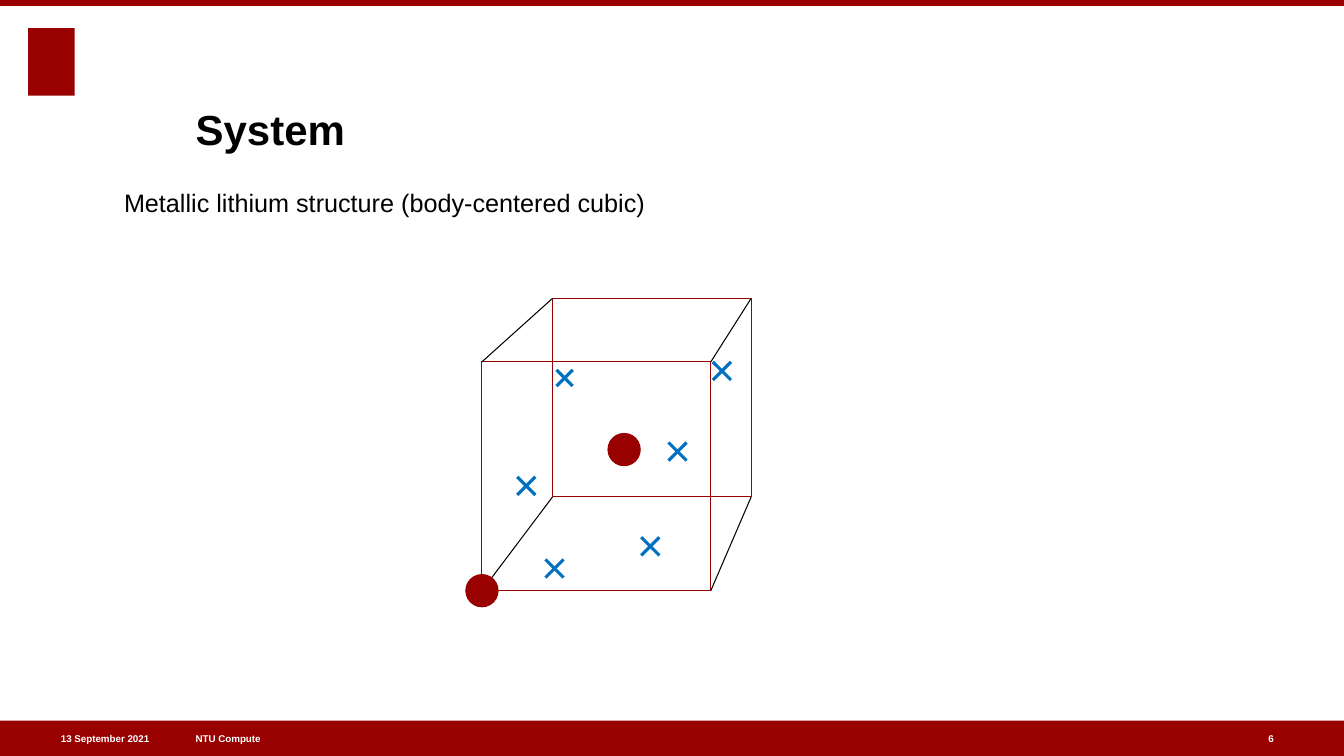
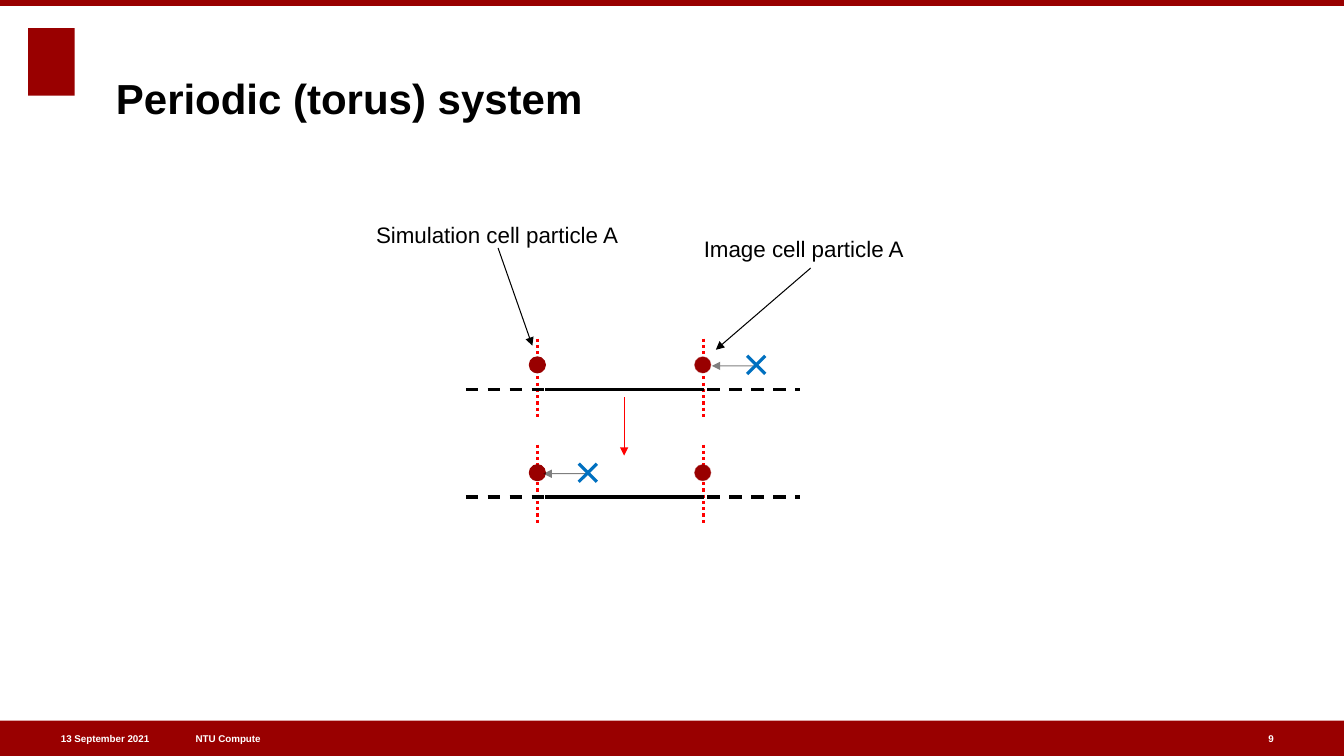
from pptx import Presentation
from pptx.dml.color import RGBColor
from pptx.enum.dml import MSO_LINE
from pptx.enum.shapes import MSO_CONNECTOR, MSO_SHAPE
from pptx.enum.text import MSO_ANCHOR, MSO_AUTO_SIZE, PP_ALIGN
from pptx.oxml.ns import qn
from pptx.util import Inches, Pt
from lxml.etree import SubElement

# Shared style
FONT = "Arial"
RED, BRIGHT_RED, BLUE = "990000", "FF0000", "0070C0"
BLACK, WHITE = "000000", "FFFFFF"
THIN, THICK = 0.75, 2.25
WIDTH, HEIGHT = 13.33, 7.5
FOOTER_TOP, FOOTER_H = 7.15, 0.35
TITLE_ONLY, TITLE_AND_BODY = 5, 1


def rgb(color):
    return RGBColor.from_string(color)


def box(left, top, width, height):
    return [Inches(v) for v in (left, top, width, height)]


# Text
def write(shape, text, size, color=BLACK, bold=False,
          anchor=MSO_ANCHOR.TOP, align=PP_ALIGN.LEFT, wrap=True):
    tf = shape.text_frame
    tf.text = text
    tf.auto_size = MSO_AUTO_SIZE.NONE
    tf.word_wrap = wrap
    tf.vertical_anchor = anchor
    tf.margin_left = tf.margin_right = tf.margin_top = tf.margin_bottom = 0
    p = tf.paragraphs[0]
    p.alignment = align
    font = p.runs[0].font
    font.name, font.size, font.bold = FONT, Pt(size), bold
    font.color.rgb = rgb(color)
    return p


def add_label(s, text, left, top, width, height, size, **style):
    write(s.shapes.add_textbox(*box(left, top, width, height)), text, size, **style)


def set_title(s, text, left, top):
    title = s.shapes.title
    title.left, title.top, title.width, title.height = box(left, top, 10.18, 1.06)
    write(title, text, 30, bold=True, anchor=MSO_ANCHOR.BOTTOM)


def set_body(s, text, left, top):
    body = s.placeholders[1]
    body.left, body.top, body.width, body.height = box(left, top, 10.18, 4.97)
    pPr = write(body, text, 18)._p.get_or_add_pPr()
    pPr.set("marL", "0")
    pPr.set("indent", "0")
    SubElement(pPr, qn("a:buNone"))


# Shapes and lines
def style_line(line, color, width, opacity=100):
    line.color.rgb = rgb(color)
    line.width = Pt(width)
    if opacity < 100:
        clr = line._get_or_add_ln().find(".//" + qn("a:srgbClr"))
        SubElement(clr, qn("a:alpha")).set("val", str(opacity * 1000))


def add_shape(s, kind, left, top, width, height, fill=None, line=None, opacity=100):
    sp = s.shapes.add_shape(kind, *box(left, top, width, height))
    sp.shadow.inherit = False
    if fill:
        sp.fill.solid()
        sp.fill.fore_color.rgb = rgb(fill)
    else:
        sp.fill.background()
    if line:
        style_line(sp.line, line, THIN, opacity)
    else:
        sp.line.fill.background()


def add_line(parent, start, end, color=BLACK, width=THIN, dash=None,
             arrow=False, opacity=100):
    cn = parent.shapes.add_connector(
        MSO_CONNECTOR.STRAIGHT, *[Inches(v) for v in (*start, *end)])
    style_line(cn.line, color, width, opacity)
    if dash:
        cn.line.dash_style = dash
    if arrow:
        SubElement(cn.line._get_or_add_ln(), qn("a:tailEnd")).set("type", "triangle")
    SubElement(cn._element.spPr, qn("a:effectLst"))


def add_particle(s, x, y, size, opacity=100):
    add_shape(s, MSO_SHAPE.OVAL, x - size / 2, y - size / 2, size, size,
              RED, RED, opacity)


def add_cross(s, x, y, size=0.18):
    group = s.shapes.add_group_shape()
    h = size / 2
    for slope in (1, -1):
        add_line(group, (x - h, y - h * slope), (x + h, y + h * slope), BLUE, THICK)


# Frame shared by all slides
def add_slide(prs, layout, number):
    s = prs.slides.add_slide(prs.slide_layouts[layout])
    add_shape(s, MSO_SHAPE.RECTANGLE, 0.28, 0.28, 0.46, 0.67, RED)
    add_shape(s, MSO_SHAPE.RECTANGLE, 0, 0, WIDTH, 0.06, RED)
    add_shape(s, MSO_SHAPE.RECTANGLE, 0, FOOTER_TOP, WIDTH, FOOTER_H, RED)
    for text, left, width, align in (
            ("13 September 2021", 0.27, 1.21, PP_ALIGN.RIGHT),
            ("NTU Compute", 1.94, 3.72, PP_ALIGN.LEFT),
            (str(number), 12.58, 0.47, PP_ALIGN.LEFT)):
        add_label(s, text, left, FOOTER_TOP, width, FOOTER_H, 7, color=WHITE,
                  bold=True, anchor=MSO_ANCHOR.MIDDLE, align=align)
    return s


# Slide: cubic cell
def build_system(prs):
    s = add_slide(prs, TITLE_AND_BODY, 6)
    set_title(s, "System", 1.94, 0.47)
    set_body(s, "Metallic lithium structure (body-centered cubic)", 1.23, 1.86)

    front, back = (4.78, 3.59, 2.27), (5.48, 2.96, 1.97)
    for left, top, side in (front, back):
        add_shape(s, MSO_SHAPE.RECTANGLE, left, top, side, side, line=RED)
    for i in (0, 1):
        for j in (0, 1):
            near, far = [(left + i * side, top + j * side)
                         for left, top, side in (front, back)]
            add_line(s, near, far)

    for x, y in ((6.19, 4.46), (4.78, 5.86)):
        add_particle(s, x, y, 0.32)
    for x, y in ((7.16, 3.68), (6.72, 4.48), (5.5, 5.64), (6.45, 5.42), (5.22, 4.82)):
        add_cross(s, x, y)
    add_cross(s, 5.6, 3.75, 0.16)


# Slide: periodic cell
def add_cell_row(s, axis, border_top, cross_x):
    left, right = 5.33, 6.98
    for x in (left, right):
        add_line(s, (x, border_top), (x, border_top + 0.79), BRIGHT_RED, THICK,
                 MSO_LINE.ROUND_DOT)
    add_line(s, (4.62, axis), (7.93, axis), width=THICK, dash=MSO_LINE.DASH)
    add_line(s, (left + 0.08, axis), (right, axis), width=THICK)
    y = axis - 0.24
    add_particle(s, left, y, 0.16)
    add_particle(s, right - 0.01, y, 0.16, opacity=50)
    add_line(s, (cross_x - 0.03, y + 0.01), (cross_x - 0.44, y + 0.01),
             arrow=True, opacity=50)
    add_cross(s, cross_x, y)


def build_periodic(prs):
    s = add_slide(prs, TITLE_ONLY, 9)
    set_title(s, "Periodic (torus) system", 1.15, 0.16)

    add_cell_row(s, 3.86, 3.36, 7.5)
    add_cell_row(s, 4.93, 4.41, 5.83)
    add_line(s, (6.19, 3.94), (6.19, 4.52), BRIGHT_RED, arrow=True)

    for text, left, top, width, start, end in (
            ("Simulation cell particle A", 3.73, 2.19, 2.43, (4.94, 2.46), (5.28, 3.43)),
            ("Image cell particle A", 6.98, 2.33, 2.01, (8.04, 2.66), (7.1, 3.47))):
        add_label(s, text, left, top, width, 0.27, 16, wrap=False)
        add_line(s, start, end, arrow=True)


def main():
    prs = Presentation()
    prs.slide_width, prs.slide_height = Inches(WIDTH), Inches(HEIGHT)
    build_system(prs)
    build_periodic(prs)
    prs.save("out.pptx")


if __name__ == "__main__":
    main()
